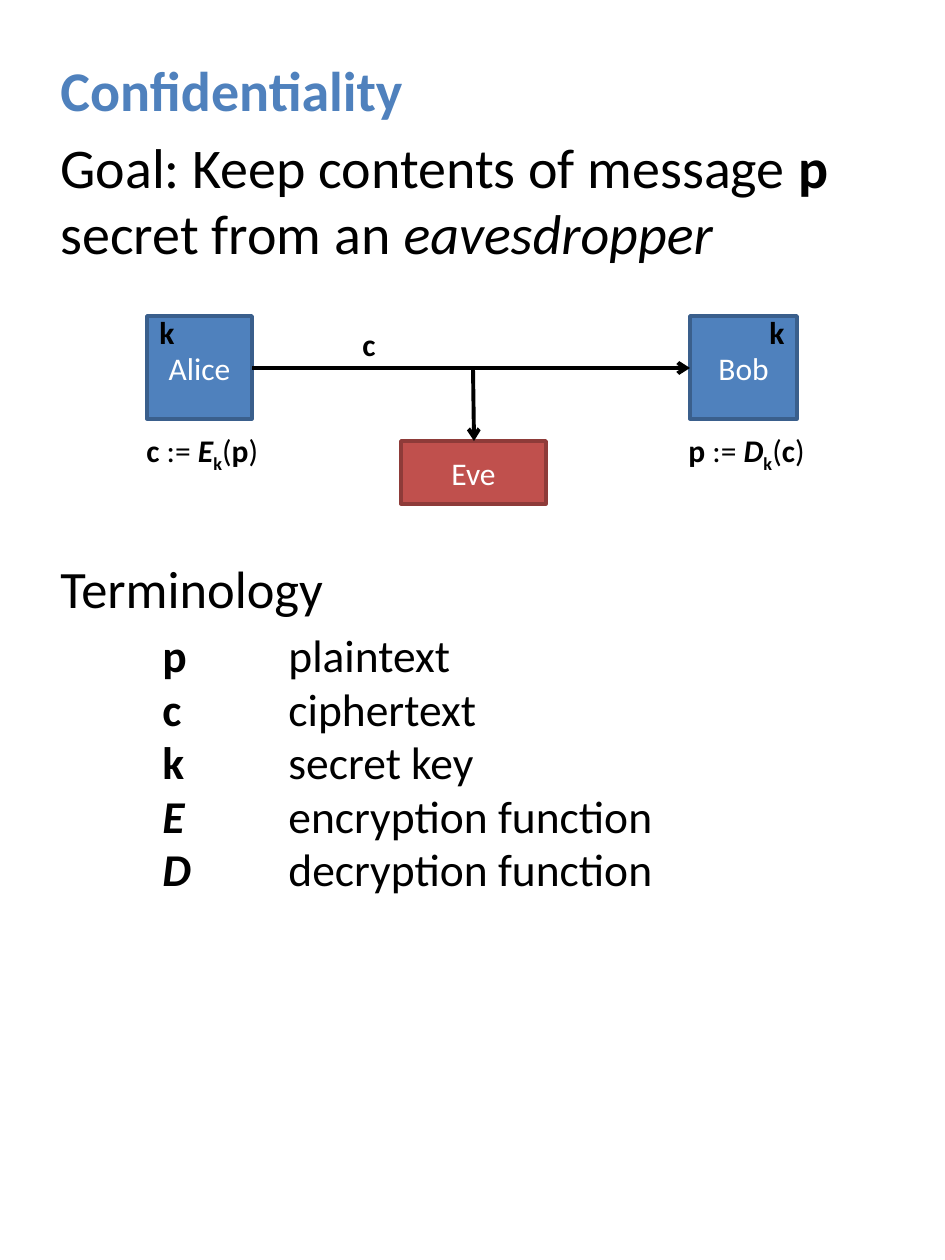
import pptx
import pptx.dml.color
import pptx.enum.shapes
import pptx.enum.text
import pptx.oxml
import pptx.oxml.ns
import pptx.util

RGB = pptx.dml.color.RGBColor
BLUE = RGB(0x4F, 0x81, 0xBD)
BLUE_EDGE = RGB(0x3A, 0x5F, 0x8C)
RED = RGB(0xC0, 0x50, 0x4D)
RED_EDGE = RGB(0x8E, 0x3B, 0x39)
BLACK = RGB(0, 0, 0)
WHITE = RGB(255, 255, 255)

ALIGN = pptx.enum.text.PP_ALIGN
FONT = "Calibri"
PX_PER_INCH = 126
LABEL_HEIGHT = 50
WIRE_Y = 368
TERMS = [
    ("p", "b", "plaintext"),
    ("c", "b", "ciphertext"),
    ("k", "b", "secret key"),
    ("E", "bi", "encryption function"),
    ("D", "bi", "decryption function"),
]


def px(length):
    return pptx.util.Emu(round(length * 914400 / PX_PER_INCH))


def add_spans(para, spans, size, color=BLACK):
    """Add (text, style) pairs; style letters: b bold, i italic, s subscript."""
    for text, style in spans:
        span = para.add_run()
        span.text = text
        formats = {"name": FONT, "size": pptx.util.Pt(size),
                   "bold": "b" in style, "italic": "i" in style}
        for name, value in formats.items():
            setattr(span.font, name, value)
        span.font.color.rgb = color
        if "s" in style:
            span.font._element.set("baseline", "-25000")


def add_label(page, left, top, width, spans, align=ALIGN.LEFT):
    box = page.shapes.add_textbox(px(left), px(top), px(width), px(LABEL_HEIGHT))
    box.text_frame.word_wrap = False
    box.text_frame.auto_size = pptx.enum.text.MSO_AUTO_SIZE.SHAPE_TO_FIT_TEXT
    para = box.text_frame.paragraphs[0]
    para.alignment = align
    add_spans(para, spans, 18)


def add_party(page, name, left, top, width, height, fill, edge):
    shape = page.shapes.add_shape(pptx.enum.shapes.MSO_SHAPE.RECTANGLE,
                                  px(left), px(top), px(width), px(height))
    shape.shadow.inherit = False
    shape.fill.solid()
    shape.fill.fore_color.rgb = fill
    shape.line.color.rgb = edge
    shape.line.width = pptx.util.Pt(2)
    shape.text_frame.vertical_anchor = pptx.enum.text.MSO_ANCHOR.MIDDLE
    para = shape.text_frame.paragraphs[0]
    para.alignment = ALIGN.CENTER
    add_spans(para, [(name, "")], 18, WHITE)


def add_arrow(page, start, end):
    arrow = page.shapes.add_connector(pptx.enum.shapes.MSO_CONNECTOR.STRAIGHT,
                                      *map(px, start + end))
    arrow.line.color.rgb = BLACK
    arrow.line.width = pptx.util.Pt(2.25)
    qn = pptx.oxml.ns.qn
    head = arrow.line._get_or_add_ln().makeelement(qn("a:tailEnd"), {"type": "arrow"})
    arrow.line._get_or_add_ln().append(head)
    properties = arrow._element.spPr
    properties.append(properties.makeelement(qn("a:effectLst"), {}))


def add_body(page):
    box = page.shapes.add_textbox(px(48), px(53), px(850), px(955))
    frame = box.text_frame
    frame.word_wrap = True

    def add_paragraph(spans, size, before, color=BLACK):
        para = frame.add_paragraph() if frame.paragraphs[0].runs else frame.paragraphs[0]
        para.line_spacing = 0.98
        para.space_before = pptx.util.Pt(before)
        add_spans(para, spans, size, color)
        return para

    add_paragraph([("Confidentiality", "b")], 32, 0, BLUE)
    add_paragraph([("Goal: Keep contents of message ", ""), ("p", "b"),
                   (" secret from an ", ""), ("eavesdropper", "i")], 32, 6)
    add_paragraph([("Terminology", "")], 30, 167)

    # Hanging indent puts the meanings in a second column
    for index, (symbol, style, meaning) in enumerate(TERMS):
        para = add_paragraph([(symbol, style), ("\t" + meaning, "")], 26,
                             0 if index else 5)
        properties = para._p.get_or_add_pPr()
        properties.set("marL", str(px(228)))
        properties.set("indent", str(-px(126)))


def add_diagram(page):
    # Parties
    add_party(page, "Alice", 147, 316, 105, 103, BLUE, BLUE_EDGE)
    add_party(page, "Bob", 690, 316, 107, 103, BLUE, BLUE_EDGE)
    add_party(page, "Eve", 401, 441, 145, 63, RED, RED_EDGE)

    # Channel and eavesdropping tap
    add_arrow(page, (252, WIRE_Y), (690, WIRE_Y))
    add_arrow(page, (473, WIRE_Y), (474, 441))

    # Key and message labels
    for left in (147, 757):
        add_label(page, left, 307, 40, [("k", "b")])
    add_label(page, 350, 319, 39, [("c", "b")])

    # Formulas
    formulas = [
        (134, 140, "c", "E", "p", ALIGN.LEFT),
        (674, 145, "p", "D", "c", ALIGN.CENTER),
    ]
    for left, width, result, function, argument, align in formulas:
        spans = [(result, "b"), (" := ", ""), (function, "bi"), ("k", "bs"),
                 ("(", ""), (argument, "b"), (")", "")]
        add_label(page, left, 425, width, spans, align)


def main():
    deck = pptx.Presentation()
    deck.slide_width, deck.slide_height = px(945), px(1260)
    page = deck.slides.add_slide(deck.slide_layouts[6])
    add_body(page)
    add_diagram(page)
    deck.save("out.pptx")


if __name__ == "__main__":
    main()
